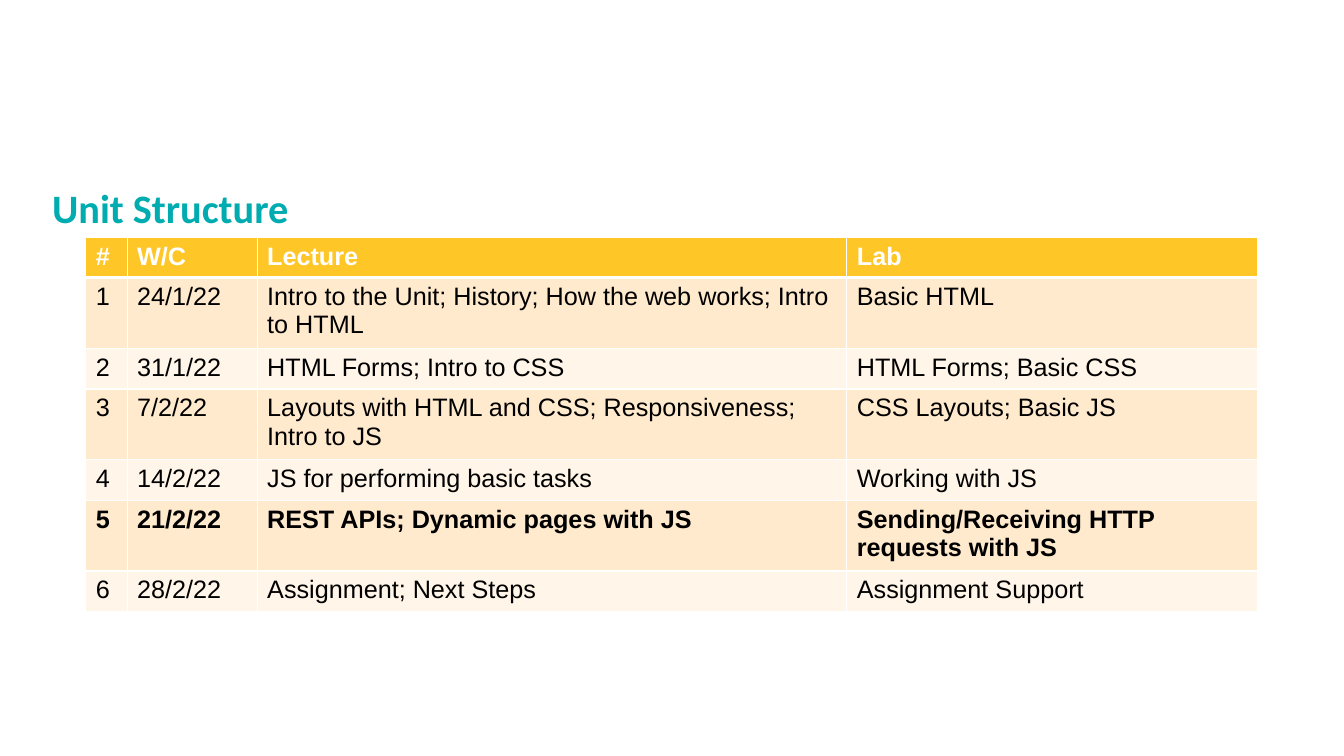
from lxml import etree
from pptx import Presentation
from pptx.dml.color import RGBColor
from pptx.enum.text import MSO_ANCHOR
from pptx.oxml.ns import qn
from pptx.util import Pt

TITLE = "Unit Structure"
HEADINGS = ("#", "W/C", "Lecture", "Lab")
WEEKS = [
    ("1", "24/1/22", "Intro to the Unit; History; How the web works; Intro to HTML", "Basic HTML"),
    ("2", "31/1/22", "HTML Forms; Intro to CSS", "HTML Forms; Basic CSS"),
    ("3", "7/2/22", "Layouts with HTML and CSS; Responsiveness; Intro to JS", "CSS Layouts; Basic JS"),
    ("4", "14/2/22", "JS for performing basic tasks", "Working with JS"),
    ("5", "21/2/22", "REST APIs; Dynamic pages with JS", "Sending/Receiving HTTP requests with JS"),
    ("6", "28/2/22", "Assignment; Next Steps", "Assignment Support"),
]
CURRENT_WEEK = 5
COLORS = {
    "title": "00ACAF",
    "header": "FFC627",
    "odd": "FFEACD",
    "even": "FFF5E8",
    "white": "FFFFFF",
    "black": "000000",
}

PAGE_SIZE = (960, 540)
TITLE_BOX = (30.2, 130.3, 828, 39.6)
TABLE_LEFT, TABLE_TOP = 61.2, 169.4
COLUMN_WIDTHS = (29.6, 92.9, 421.2, 293.6)
HEADER_HEIGHT, TALL_ROW, SHORT_ROW = 26.5, 47.3, 29.2


def add_span(para, text, font, size, color, bold):
    span = para.add_run()
    span.text = text
    span.font.name = font
    span.font.size = Pt(size)
    span.font.bold = bold
    span.font.color.rgb = RGBColor.from_string(COLORS[color])


def set_borders(cell, bottom_width):
    """Draw white edges, with the bottom one at its own width."""
    properties = cell._tc.get_or_add_tcPr()
    widths = {"a:lnL": 1, "a:lnR": 1, "a:lnT": 1, "a:lnB": bottom_width}
    for edge, width in widths.items():
        line = etree.SubElement(properties, qn(edge), w=str(Pt(width)))
        fill = etree.SubElement(line, qn("a:solidFill"))
        etree.SubElement(fill, qn("a:srgbClr"), val=COLORS["white"])


def add_title(page):
    box = page.shapes.add_textbox(*map(Pt, TITLE_BOX))
    frame = box.text_frame
    frame.word_wrap = True
    frame.vertical_anchor = MSO_ANCHOR.MIDDLE
    para = frame.paragraphs[0]
    para.line_spacing = 0.9
    add_span(para, TITLE, "Calibri", 28.8, "title", True)


def add_schedule(page):
    rows = [HEADINGS, *WEEKS]
    heights = [HEADER_HEIGHT]
    heights += [TALL_ROW if week % 2 else SHORT_ROW for week in range(1, len(rows))]
    table = page.shapes.add_table(
        len(rows), len(HEADINGS), Pt(TABLE_LEFT), Pt(TABLE_TOP),
        Pt(sum(COLUMN_WIDTHS)), Pt(sum(heights)),
    ).table
    for column, width in zip(table.columns, COLUMN_WIDTHS):
        column.width = Pt(width)
    for week, texts in enumerate(rows):
        is_header = week == 0
        table.rows[week].height = Pt(heights[week])
        fill = "header" if is_header else "odd" if week % 2 else "even"
        for index, text in enumerate(texts):
            cell = table.cell(week, index)
            set_borders(cell, 3 if is_header else 1)
            cell.fill.solid()
            cell.fill.fore_color.rgb = RGBColor.from_string(COLORS[fill])
            add_span(
                cell.text_frame.paragraphs[0], text, "Arial", 18,
                "white" if is_header else "black",
                is_header or week == CURRENT_WEEK,
            )


def main():
    deck = Presentation()
    deck.slide_width, deck.slide_height = map(Pt, PAGE_SIZE)
    page = deck.slides.add_slide(deck.slide_layouts[6])
    add_title(page)
    add_schedule(page)
    deck.save("out.pptx")


if __name__ == "__main__":
    main()
